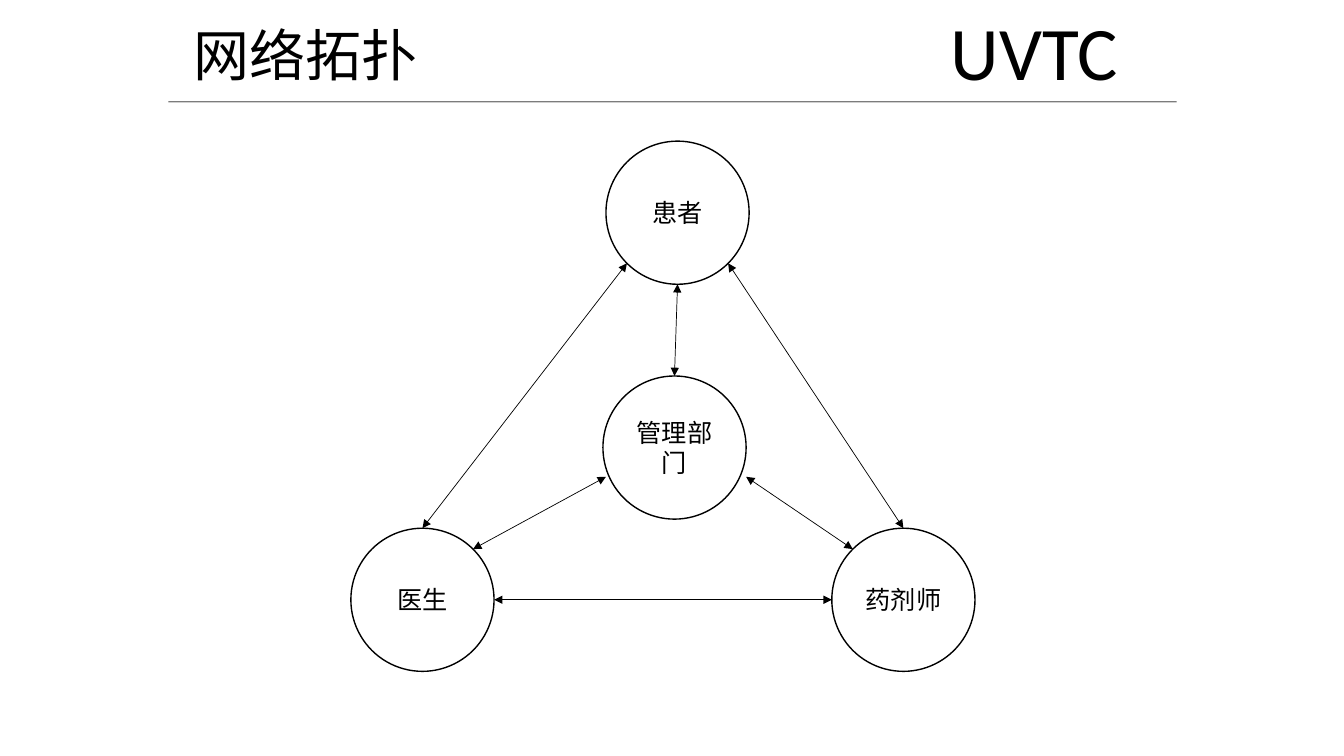
from dataclasses import dataclass
from math import cos, radians, sin

from lxml.etree import SubElement
from pptx import Presentation
from pptx.dml.color import RGBColor
from pptx.enum.shapes import MSO_CONNECTOR, MSO_SHAPE
from pptx.enum.text import MSO_ANCHOR, PP_ALIGN
from pptx.oxml.ns import qn
from pptx.util import Inches, Pt

BLACK = RGBColor(0x00, 0x00, 0x00)
WHITE = RGBColor(0xFF, 0xFF, 0xFF)
RULE_GRAY = RGBColor(0x26, 0x26, 0x26)
FONT = "Calibri"
DIAMETER = 1.42
RADIUS = DIAMETER / 2

Point = tuple[float, float]


@dataclass(frozen=True)
class Role:
    """A circle of the topology, placed by its centre."""
    label: str
    x: float
    y: float

    def edge(self, angle: float) -> Point:
        """Return the rim point at an angle, clockwise from the right."""
        turn = radians(angle)
        return self.x + RADIUS * cos(turn), self.y + RADIUS * sin(turn)


@dataclass(frozen=True)
class Heading:
    """A text box in the title band."""
    text: str
    left: float
    top: float
    width: float
    height: float
    size: int
    align: PP_ALIGN


def add_text(frame, text: str, size: int, align: PP_ALIGN) -> None:
    """Write one run into the first paragraph of a text frame."""
    frame.word_wrap = True
    para = frame.paragraphs[0]
    para.alignment = align
    span = para.add_run()
    span.text = text
    span.font.size = Pt(size)
    span.font.name = FONT
    span.font.color.rgb = BLACK


def add_heading(page, heading: Heading) -> None:
    """Draw a heading text box."""
    box = page.shapes.add_textbox(Inches(heading.left), Inches(heading.top),
                                  Inches(heading.width), Inches(heading.height))
    add_text(box.text_frame, heading.text, heading.size, heading.align)


def add_role(page, role: Role) -> None:
    """Draw a role as a labelled circle."""
    circle = page.shapes.add_shape(
        MSO_SHAPE.OVAL, Inches(role.x - RADIUS), Inches(role.y - RADIUS),
        Inches(DIAMETER), Inches(DIAMETER))
    circle.shadow.inherit = False
    circle.fill.solid()
    circle.fill.fore_color.rgb = WHITE
    circle.line.color.rgb = BLACK
    circle.line.width = Pt(1)
    circle.text_frame.vertical_anchor = MSO_ANCHOR.MIDDLE
    add_text(circle.text_frame, role.label, 18, PP_ALIGN.CENTER)


def add_line(page, start: Point, end: Point, color: RGBColor, width: float):
    """Draw a straight line without a shadow and return it."""
    line = page.shapes.add_connector(
        MSO_CONNECTOR.STRAIGHT, *(Inches(value) for value in start + end))
    line.line.color.rgb = color
    line.line.width = Pt(width)
    SubElement(line._element.spPr, qn("a:effectLst"))
    return line


def add_rule(page) -> None:
    """Draw the translucent rule below the title band."""
    rule = add_line(page, (1.67, 1.01), (11.67, 1.01), RULE_GRAY, 1)
    color = rule._element.spPr.find(".//" + qn("a:srgbClr"))
    SubElement(color, qn("a:alpha"), val="60000")


def add_link(page, start: Point, end: Point) -> None:
    """Draw a thin line with an arrowhead at both ends."""
    link = add_line(page, start, end, BLACK, 0.5)
    outline = link.line._get_or_add_ln()
    for tag in ("a:headEnd", "a:tailEnd"):
        SubElement(outline, qn(tag), type="triangle")


HEADINGS = [
    Heading("UVTC", 8.67, 0, 3.18, 1.01, 54, PP_ALIGN.CENTER),
    Heading("网络拓扑", 1.82, 0.15, 4.1, 1.45, 40, PP_ALIGN.LEFT),
]

management = Role("管理部门", 6.69, 4.44)
pharmacist = Role("药剂师", 8.96, 5.95)
patient = Role("患者", 6.72, 2.11)
doctor = Role("医生", 4.19, 5.95)

RIGHT, LOWER_RIGHT, BOTTOM, LOWER_LEFT = 0, 45, 90, 135
LEFT, UPPER_LEFT, TOP, UPPER_RIGHT = 180, 225, 270, 315

LINKS = [
    (patient.edge(LOWER_LEFT), doctor.edge(TOP)),
    (pharmacist.edge(TOP), patient.edge(LOWER_RIGHT)),
    (doctor.edge(RIGHT), pharmacist.edge(LEFT)),
    (doctor.edge(UPPER_RIGHT), (6.01, 4.73)),
    (patient.edge(BOTTOM), management.edge(TOP)),
    (pharmacist.edge(UPPER_LEFT), (7.4, 4.73)),
]

deck = Presentation()
deck.slide_width = Inches(13.33)
deck.slide_height = Inches(7.5)
page = deck.slides.add_slide(deck.slide_layouts[6])

add_rule(page)
for heading in HEADINGS:
    add_heading(page, heading)
for role in (management, pharmacist, patient, doctor):
    add_role(page, role)
for start, end in LINKS:
    add_link(page, start, end)

deck.save("out.pptx")
